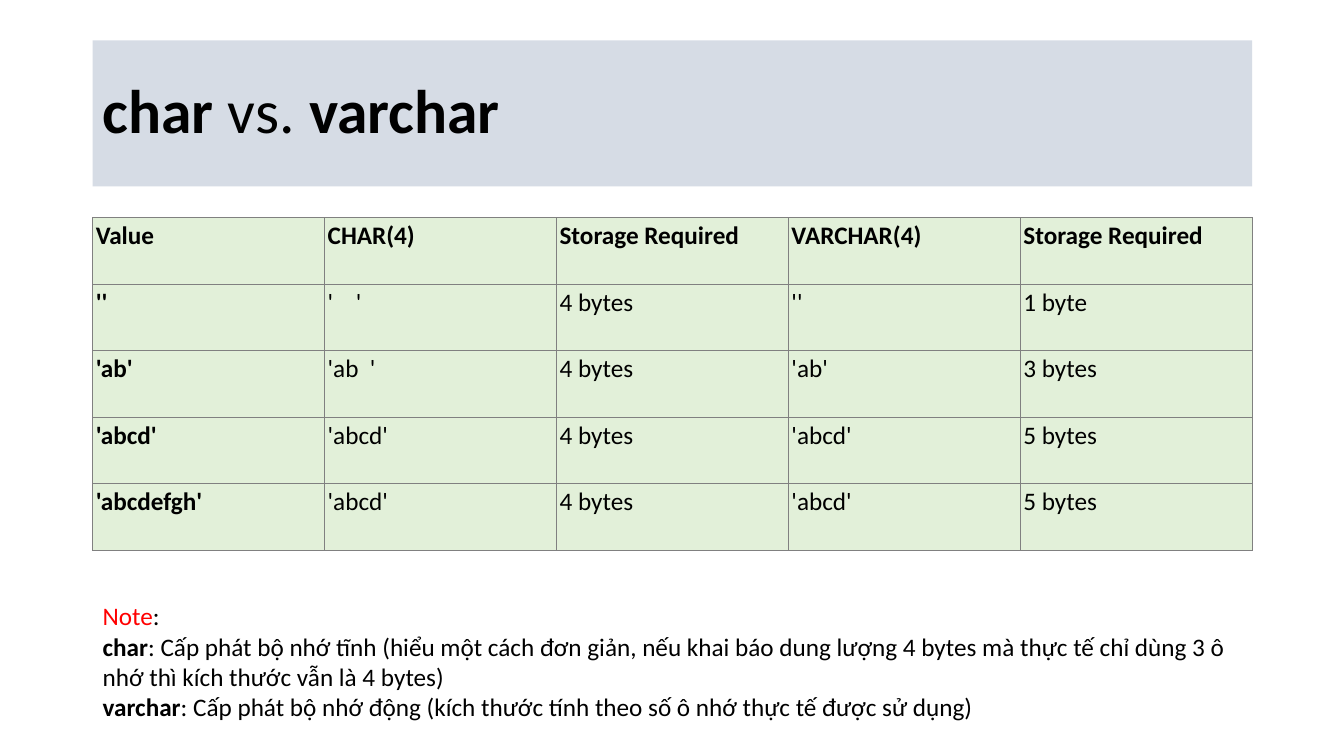
from lxml.etree import SubElement
from pptx import Presentation
from pptx.dml.color import RGBColor
from pptx.enum.shapes import MSO_SHAPE as Shape
from pptx.enum.text import MSO_ANCHOR as Anchor, MSO_AUTO_SIZE as AutoSize, PP_ALIGN as Align
from pptx.oxml.ns import qn
from pptx.util import Inches, Pt

# Content: each paragraph is a list of (text, format) runs
BOLD = {"bold": True}
TITLE = [[("char", BOLD), (" vs. ", {}), ("varchar", BOLD)]]
HEADERS = ["Value", "CHAR(4)", "Storage Required", "VARCHAR(4)", "Storage Required"]
STORAGE = [
    ("''", "'\u00a0\u00a0\u00a0\u00a0'", "4 bytes", "''", "1 byte"),
    ("'ab'", "'ab\u00a0\u00a0'", "4 bytes", "'ab'", "3 bytes"),
    ("'abcd'", "'abcd'", "4 bytes", "'abcd'", "5 bytes"),
    ("'abcdefgh'", "'abcd'", "4 bytes", "'abcd'", "5 bytes"),
]
NOTE = [
    [("Note", {"color": "FF0000"}), (": ", {})],
    [("char", BOLD),
     (": Cấp phát bộ nhớ tĩnh (hiểu một cách đơn giản, nếu khai báo dung lượng 4 bytes "
      "mà thực tế chỉ dùng 3 ô nhớ thì kích thước vẫn là 4 bytes)", {})],
    [("varchar", BOLD),
     (": Cấp phát bộ nhớ động (kích thước tính theo số ô nhớ thực tế được sử dụng)", {})],
]

# Layout and colours
LEFT, WIDTH = 0.92, 11.5
ROW_HEIGHT, CELL_MARGIN = 0.66, 0.03
BANNER_FILL, CELL_FILL, BORDER = "D6DCE5", "E2F0D9", "808080"


def paint(fill, color):
    fill.solid()
    fill.fore_color.rgb = RGBColor.from_string(color)


def write_run(paragraph, text, size=18, color="000000", bold=False):
    run = paragraph.add_run()
    run.text = text
    run.font.name = "Calibri"
    run.font.size = Pt(size)
    run.font.bold = bold
    paint(run.font.fill, color)


def write(frame, paragraphs, spacing=None, **defaults):
    frame.word_wrap = True
    for i, runs in enumerate(paragraphs):
        paragraph = frame.add_paragraph() if i else frame.paragraphs[0]
        paragraph.alignment = Align.LEFT
        paragraph.line_spacing = spacing
        for text, style in runs:
            write_run(paragraph, text, **{**defaults, **style})


def add_borders(cell, color, width):
    properties = cell._tc.get_or_add_tcPr()
    for i, side in enumerate(("lnL", "lnR", "lnT", "lnB")):
        line = properties.makeelement(qn("a:" + side), {"w": str(Pt(width))})
        properties.insert(i, line)  # borders come before the fill
        solid = SubElement(line, qn("a:solidFill"))
        SubElement(solid, qn("a:srgbClr"), val=color)


deck = Presentation()
deck.slide_width, deck.slide_height = Inches(13.33), Inches(7.5)
slide = deck.slides.add_slide(deck.slide_layouts[6])

# Title banner
banner = slide.shapes.add_shape(
    Shape.RECTANGLE, Inches(LEFT), Inches(0.4), Inches(WIDTH), Inches(1.45))
banner.shadow.inherit = False
paint(banner.fill, BANNER_FILL)
banner.line.fill.background()
banner.text_frame.vertical_anchor = Anchor.MIDDLE
write(banner.text_frame, TITLE, spacing=0.9, size=44)

# Storage table: header row and first column are bold
rows = [HEADERS, *STORAGE]
storage = slide.shapes.add_table(
    len(rows), len(HEADERS), Inches(LEFT), Inches(2.16),
    Inches(WIDTH), Inches(ROW_HEIGHT * len(rows))).table
for r, values in enumerate(rows):
    for c, value in enumerate(values):
        cell = storage.cell(r, c)
        cell.margin_left = cell.margin_right = Inches(CELL_MARGIN)
        cell.margin_top = cell.margin_bottom = Inches(CELL_MARGIN)
        paint(cell.fill, CELL_FILL)
        add_borders(cell, BORDER, 1)
        write(cell.text_frame, [[(value, {})]], bold=r == 0 or c == 0)

# Note
note = slide.shapes.add_textbox(Inches(LEFT), Inches(5.91), Inches(WIDTH), Inches(1.31))
note.text_frame.auto_size = AutoSize.SHAPE_TO_FIT_TEXT
write(note.text_frame, NOTE)

deck.save("out.pptx")
